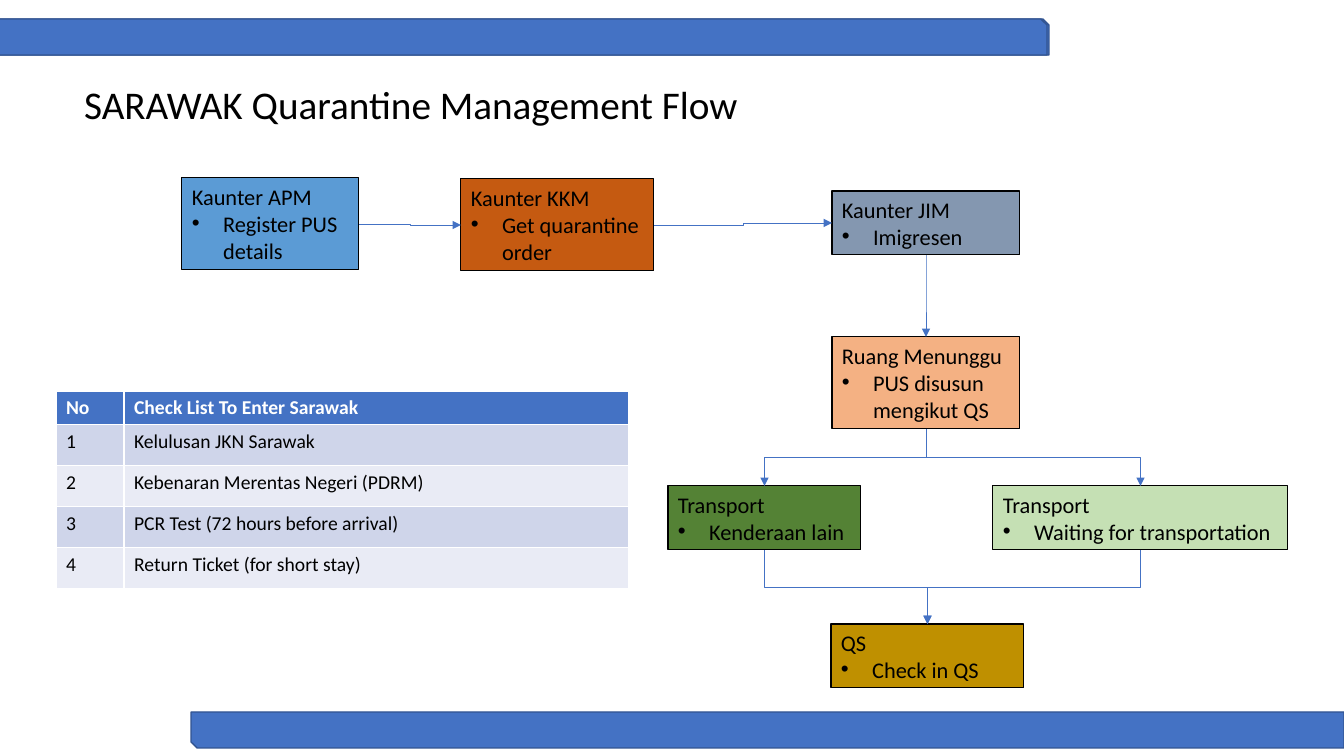
from dataclasses import dataclass

from lxml import etree
from pptx import Presentation
from pptx import util as u
from pptx.dml.color import RGBColor
from pptx.enum import shapes, text
from pptx.oxml import ns

EMU_PER_PIXEL = 12192000 / 1344
TOP, LEFT, BOTTOM, RIGHT = range(4)


def px(pixels):
    return u.Emu(round(pixels * EMU_PER_PIXEL))


@dataclass(frozen=True)
class Theme:
    font: str = "Calibri"
    title_size: int = 28
    box_size: int = 16
    table_size: int = 14
    ink: str = "000000"
    paper: str = "FFFFFF"
    accent: str = "4472C4"
    accent_edge: str = "325491"
    bands: tuple = ("CFD5EA", "E9EBF5")
    apm: str = "5B9BD5"
    kkm: str = "C55A11"
    jim: str = "8497B0"
    waiting_room: str = "F4B183"
    other_vehicle: str = "548235"
    waiting_transport: str = "C5E0B4"
    check_in: str = "BF9000"


class FlowSlide:
    def __init__(self, deck, theme):
        self.theme = theme
        self.page = deck.slides.add_slide(deck.slide_layouts[5])

    def style(self, para, size, color, bold=False):
        para.alignment = text.PP_ALIGN.LEFT
        para.font.name = self.theme.font
        para.font.size = u.Pt(size)
        para.font.bold = bold
        para.font.color.rgb = RGBColor.from_string(color)

    def title(self, wording, left, top, width, height):
        title = self.page.shapes.title
        title.left, title.top, title.width, title.height = map(px, (left, top, width, height))
        frame = title.text_frame
        frame.text = wording
        frame.word_wrap = True
        frame.auto_size = text.MSO_AUTO_SIZE.SHAPE_TO_FIT_TEXT
        frame.vertical_anchor = text.MSO_ANCHOR.TOP
        self.style(frame.paragraphs[0], self.theme.title_size, self.theme.ink)

    def shape(self, kind, bounds, fill, edge, weight):
        shape = self.page.shapes.add_shape(kind, *map(px, bounds))
        shape.shadow.inherit = False
        shape.fill.solid()
        shape.fill.fore_color.rgb = RGBColor.from_string(fill)
        shape.line.color.rgb = RGBColor.from_string(edge)
        shape.line.width = u.Pt(weight)
        return shape

    def bar(self, left, top, width, rotation=0):
        bar = self.shape(shapes.MSO_SHAPE.SNIP_1_RECTANGLE, (left, top, width, 36),
                         self.theme.accent, self.theme.accent_edge, 1)
        bar.rotation = rotation

    def bullet(self, para):
        properties = para._p.get_or_add_pPr()
        properties.set("marL", str(u.Inches(0.31)))
        properties.set("indent", str(-u.Inches(0.31)))
        font = etree.SubElement(properties, ns.qn("a:buFont"))
        font.set("typeface", "Arial")
        etree.SubElement(properties, ns.qn("a:buChar")).set("char", "•")

    def step(self, heading, detail, fill, *bounds):
        box = self.shape(shapes.MSO_SHAPE.RECTANGLE, bounds, fill, self.theme.ink, 0.75)
        frame = box.text_frame
        frame.text = f"{heading}\n{detail}"
        frame.word_wrap = True
        frame.auto_size = text.MSO_AUTO_SIZE.SHAPE_TO_FIT_TEXT
        frame.vertical_anchor = text.MSO_ANCHOR.TOP
        for para in frame.paragraphs:
            self.style(para, self.theme.box_size, self.theme.ink)
        self.bullet(frame.paragraphs[1])
        return box

    def site(self, box, side):
        x = box.left + box.width * {LEFT: 0, RIGHT: 2}.get(side, 1) // 2
        y = box.top + box.height * {TOP: 0, BOTTOM: 2}.get(side, 1) // 2
        return x, y

    def arrow(self, source, target, downward=True):
        start_side, end_side = (BOTTOM, TOP) if downward else (RIGHT, LEFT)
        x1, y1 = self.site(source, start_side)
        x2, y2 = self.site(target, end_side)
        arrow = self.page.shapes.add_connector(shapes.MSO_CONNECTOR.ELBOW, x1, y1, x2, y2)
        arrow.begin_connect(source, start_side)
        arrow.end_connect(target, end_side)
        if downward:
            middle_x, middle_y = (x1 + x2) // 2, (y1 + y2) // 2
            half_run, half_rise = (y2 - y1) // 2, (x2 - x1) // 2
            arrow.begin_x, arrow.begin_y = middle_x - half_run, middle_y + half_rise
            arrow.end_x, arrow.end_y = middle_x + half_run, middle_y - half_rise
            arrow._element.spPr.find(ns.qn("a:xfrm")).set("rot", "5400000")
        arrow.line.color.rgb = RGBColor.from_string(self.theme.accent)
        arrow.line.width = u.Pt(0.5)
        head = etree.SubElement(arrow.line._get_or_add_ln(), ns.qn("a:tailEnd"))
        head.set("type", "triangle")
        etree.SubElement(arrow._element.spPr, ns.qn("a:effectLst"))

    def table(self, rows, left, top, widths, heights):
        bounds = map(px, (left, top, sum(widths), sum(heights)))
        table = self.page.shapes.add_table(len(rows), len(widths), *bounds).table
        for column, width in zip(table.columns, widths):
            column.width = px(width)
        for index, (row, height, values) in enumerate(zip(table.rows, heights, rows)):
            row.height = px(height)
            header = index == 0
            fill = self.theme.accent if header else self.theme.bands[(index - 1) % 2]
            color = self.theme.paper if header else self.theme.ink
            for cell, value in zip(row.cells, values):
                cell.text = value
                cell.fill.solid()
                cell.fill.fore_color.rgb = RGBColor.from_string(fill)
                self.style(cell.text_frame.paragraphs[0], self.theme.table_size, color, header)


deck = Presentation()
deck.slide_width, deck.slide_height = px(1344), px(756)
theme = Theme()
flow = FlowSlide(deck, theme)

flow.title("SARAWAK Quarantine Management Flow", 74, 75, 726, 57)

apm = flow.step("Kaunter APM", "Register PUS details", theme.apm, 182, 178, 177, 92)
kkm = flow.step("Kaunter KKM", "Get quarantine order", theme.kkm, 461, 179, 193, 92)
jim = flow.step("Kaunter JIM", "Imigresen", theme.jim, 832, 191, 188, 64)
waiting_room = flow.step("Ruang Menunggu", "PUS disusun mengikut QS", theme.waiting_room,
                         832, 337, 188, 92)
other_vehicle = flow.step("Transport", "Kenderaan lain", theme.other_vehicle,
                          668, 486, 193, 64)
waiting_transport = flow.step("Transport", "Waiting for transportation",
                              theme.waiting_transport, 993, 486, 295, 64)
check_in = flow.step("QS", "Check in QS", theme.check_in, 831, 624, 193, 64)

for source, target in ((apm, kkm), (kkm, jim)):
    flow.arrow(source, target, downward=False)
flow.arrow(jim, waiting_room)
for transport in (other_vehicle, waiting_transport):
    flow.arrow(waiting_room, transport)
    flow.arrow(transport, check_in)

requirements = ("Kelulusan JKN Sarawak", "Kebenaran Merentas Negeri (PDRM)",
                "PCR Test (72 hours before arrival)", "Return Ticket (for short stay)")
checklist = [("No", "Check List To Enter Sarawak")]
checklist += [(str(number), item) for number, item in enumerate(requirements, 1)]
flow.table(checklist, 56, 391, (68, 505), [33] + [41] * len(requirements))

flow.bar(0, 19, 1049)
flow.bar(191, 712, 1153, rotation=180)
flow.bar(-2, 19, 1049)

deck.save("out.pptx")
